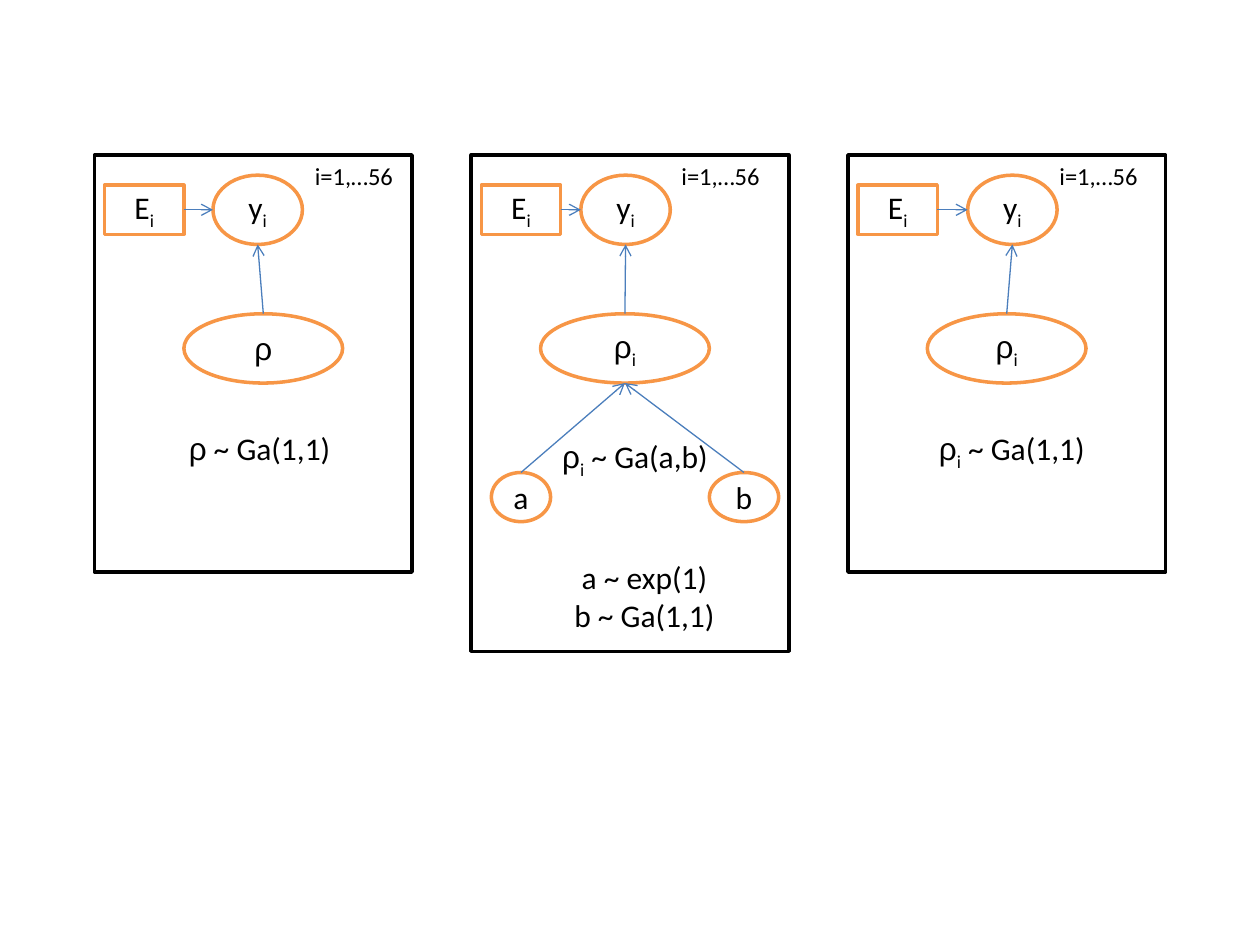
from lxml import etree
from pptx import Presentation
from pptx.dml.color import RGBColor
from pptx.enum.shapes import MSO_CONNECTOR, MSO_SHAPE
from pptx.enum.text import MSO_ANCHOR, MSO_AUTO_SIZE, PP_ALIGN
from pptx.oxml.ns import qn
from pptx.util import Inches, Pt

RECTANGLE, OVAL = MSO_SHAPE.RECTANGLE, MSO_SHAPE.OVAL
STRAIGHT = MSO_CONNECTOR.STRAIGHT
LEFT, CENTER = PP_ALIGN.LEFT, PP_ALIGN.CENTER
MIDDLE, TOP = MSO_ANCHOR.MIDDLE, MSO_ANCHOR.TOP
GROW = MSO_AUTO_SIZE.SHAPE_TO_FIT_TEXT

BLACK, WHITE, ORANGE, BLUE = "000000", "FFFFFF", "F79646", "4B7EBC"


def plain(text):
    """Describe a normal Calibri run."""
    return (text, "Calibri", False)


# A run is (text, font, subscript); a paragraph is a list of runs.
RHO = ("ρ", "Arial", False)
SUB_I = ("i", "Calibri", True)
GAMMA_PRIOR = plain(" ~ Ga(1,1)")

# Boxes are (left, top, width, height) in inches.
MODELS = [
    {"height": 3.31, "y_left": 1.69, "rho_box": (1.46, 2.49, 1.26, 0.55),
     "rho": [RHO], "index_left": 2.4, "parents": [],
     "notes": [((0.92, 3.36, 2.28, 0.4), [[RHO, GAMMA_PRIOR]])]},
    {"height": 3.94, "y_left": 4.61, "rho_box": (4.29, 2.49, 1.34, 0.55),
     "rho": [RHO, SUB_I], "index_left": 5.31,
     "parents": [("a", (3.9, 3.75, 0.47, 0.39)), ("b", (5.63, 3.75, 0.55, 0.39))],
     "notes": [((4.13, 4.38, 1.97, 0.71), [[plain("a ~ exp(1)")], [plain("b ~ Ga(1,1)")]]),
               ((3.9, 3.42, 2.28, 0.4), [[RHO, SUB_I, plain(" ~ Ga(a,b)")]])]},
    {"height": 3.31, "y_left": 7.68, "rho_box": (7.36, 2.49, 1.26, 0.55),
     "rho": [RHO, SUB_I], "index_left": 8.31, "parents": [],
     "notes": [((6.89, 3.36, 2.28, 0.4), [[RHO, SUB_I, GAMMA_PRIOR]])]},
]
FRAME_LEFT, FRAME_TOP, FRAME_WIDTH, FRAME_STEP = 0.75, 1.23, 2.52, 2.99


def color(value):
    """Turn a hex string into a colour."""
    return RGBColor.from_string(value)


def write(shape, paragraphs, size=18, align=CENTER, anchor=MIDDLE):
    """Fill a shape with formatted paragraphs."""
    frame = shape.text_frame
    frame.word_wrap = True
    frame.vertical_anchor = anchor
    for number, runs in enumerate(paragraphs):
        paragraph = frame.add_paragraph() if number else frame.paragraphs[0]
        paragraph.alignment = align
        for text, font, subscript in runs:
            run = paragraph.add_run()
            run.text = text
            run.font.name = font
            run.font.size = Pt(size)
            run.font.color.rgb = color(BLACK)
            if subscript:
                run._r.get_or_add_rPr().set("baseline", "-25000")


def add_outline(slide, kind, box, line):
    """Add an unfilled shape with a 2 pt outline."""
    shape = slide.shapes.add_shape(kind, *map(Inches, box))
    shape.shadow.inherit = False
    shape.fill.background()
    shape.line.color.rgb = color(line)
    shape.line.width = Pt(2)
    return shape


def add_node(slide, kind, box, runs):
    """Add a white node with an orange outline and a label."""
    shape = add_outline(slide, kind, box, ORANGE)
    shape.fill.solid()
    shape.fill.fore_color.rgb = color(WHITE)
    write(shape, [runs])


def add_note(slide, box, paragraphs, size=18, align=CENTER):
    """Add a text box that grows with its text."""
    note = slide.shapes.add_textbox(*map(Inches, box))
    write(note, paragraphs, size, align, TOP)
    note.text_frame.auto_size = GROW


def add_arrow(slide, start, end):
    """Add a thin blue arrow between two points."""
    arrow = slide.shapes.add_connector(STRAIGHT, *map(Inches, start + end))
    arrow.line.color.rgb = color(BLUE)
    arrow.line.width = Pt(0.75)
    etree.SubElement(arrow.line._get_or_add_ln(), qn("a:tailEnd"), type="arrow")
    etree.SubElement(arrow._element.spPr, qn("a:effectLst"))


def edge(box, across, down):
    """Return the point at the given fractions of a box."""
    left, top, width, height = box
    return (left + across * width, top + down * height)


def add_model(slide, model, frame_left):
    """Draw one framed model diagram."""
    y_box = (model["y_left"], 1.39, 0.71, 0.55)
    e_box = (frame_left + 0.08, 1.47, 0.63, 0.39)
    rho_box = model["rho_box"]
    add_outline(slide, RECTANGLE,
                (frame_left, FRAME_TOP, FRAME_WIDTH, model["height"]), BLACK)
    add_node(slide, OVAL, y_box, [plain("y"), SUB_I])
    add_node(slide, OVAL, rho_box, model["rho"])
    add_node(slide, RECTANGLE, e_box, [plain("E"), SUB_I])
    add_arrow(slide, edge(e_box, 1, 0.5), edge(y_box, 0, 0.5))
    add_arrow(slide, edge(rho_box, 0.5, 0), edge(y_box, 0.5, 1))
    for name, box in model["parents"]:
        add_node(slide, OVAL, box, [plain(name)])
        add_arrow(slide, edge(box, 0.5, 0), edge(rho_box, 0.5, 1))
    add_note(slide, (model["index_left"], FRAME_TOP, 0.94, 0.34),
             [[plain("i=1,…56")]], 14, LEFT)
    for box, paragraphs in model["notes"]:
        add_note(slide, box, paragraphs)


presentation = Presentation()
presentation.slide_width, presentation.slide_height = Inches(10), Inches(7.5)
slide = presentation.slides.add_slide(presentation.slide_layouts[6])
for position, model in enumerate(MODELS):
    add_model(slide, model, FRAME_LEFT + position * FRAME_STEP)
presentation.save("out.pptx")
